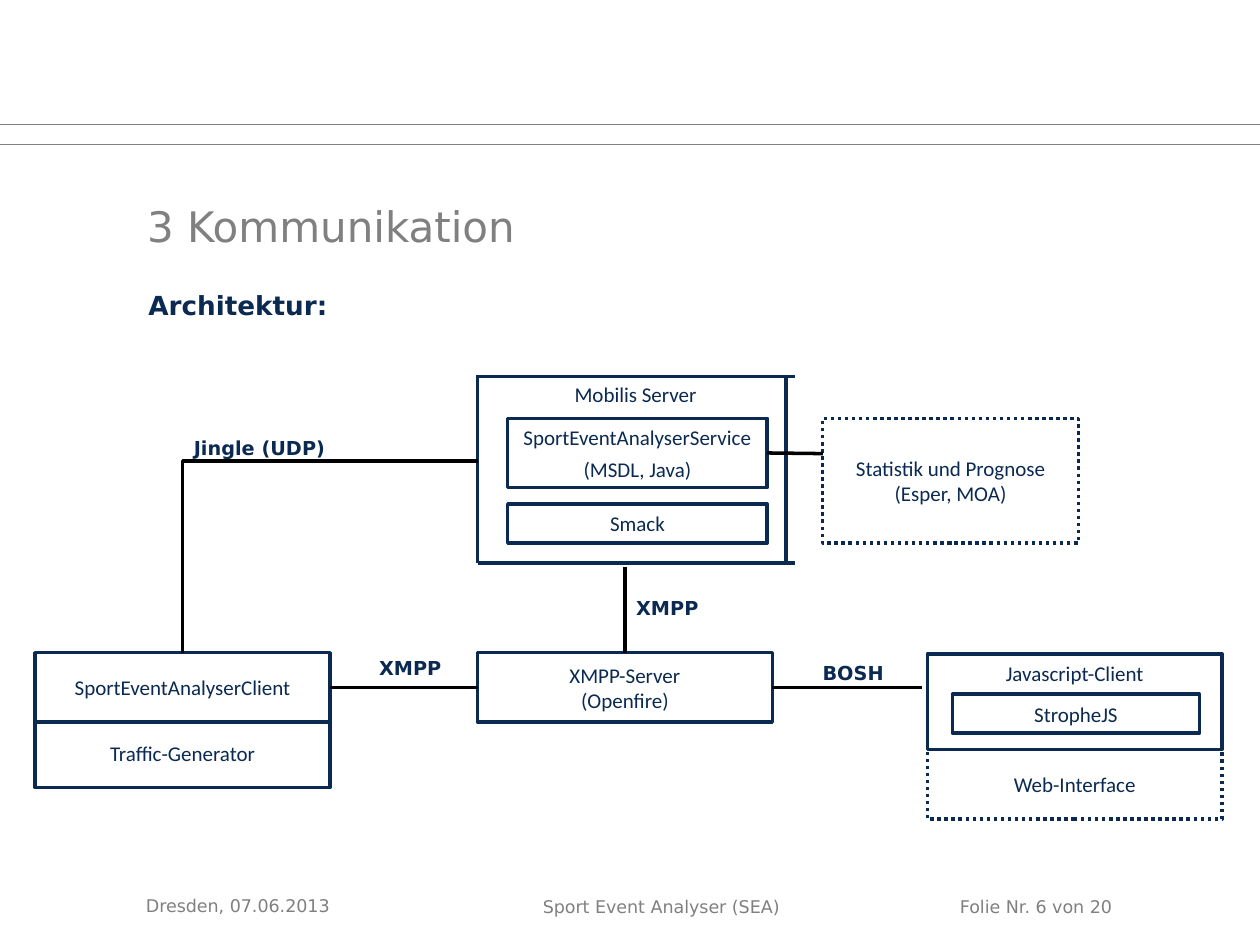
"""Build the slide on the communication architecture of the Sport Event Analyser."""
from typing import NamedTuple, Optional

from lxml.etree import SubElement
from pptx import Presentation
from pptx.dml.color import RGBColor
from pptx.enum.dml import MSO_LINE
from pptx.enum.shapes import MSO_CONNECTOR as Link, MSO_SHAPE
from pptx.enum.text import MSO_ANCHOR as Anchor, PP_ALIGN as Align
from pptx.oxml.ns import qn
from pptx.util import Inches, Pt

NAVY = RGBColor(0x0B, 0x2A, 0x51)
GREY = RGBColor(0x80, 0x80, 0x80)
WHITE = RGBColor(0xFF, 0xFF, 0xFF)
BLACK = RGBColor(0, 0, 0)
TOP, LEFT, RIGHT = 0, 1, 3


class Box(NamedTuple):
    text: str
    left: float
    top: float
    width: float
    height: float
    line: RGBColor = NAVY
    dotted: bool = False
    anchor: Anchor = Anchor.MIDDLE
    after: float = 0


class Label(NamedTuple):
    text: str
    left: float
    top: float
    width: float
    height: float
    size: float
    color: RGBColor = NAVY
    bold: bool = False
    anchor: Anchor = Anchor.TOP
    leading: float = 1.0


class Line(NamedTuple):
    x1: float
    y1: float
    x2: float
    y2: float


class Joint(NamedTuple):
    box: str
    side: int


class Wire(NamedTuple):
    line: Line
    begin: Optional[Joint] = None
    end: Optional[Joint] = None


SERVICE = "SportEventAnalyserService\n(MSDL, Java)"
XMPP_SERVER = "XMPP-Server\n(Openfire)"
CLIENT = "SportEventAnalyserClient"
ROW, NODE_W, NODE_H = 5.18, 2.34, 0.55
CLIENT_X, SERVER_X, WEB_X = 0.28, 3.79, 7.36
MIDDLE = ROW + NODE_H / 2
SERVER_MID = SERVER_X + NODE_W / 2

BOXES = [
    Box("Mobilis Server", 4.03, 2.98, 2.03, 0.31, line=WHITE, anchor=Anchor.TOP),
    Box(SERVICE, 4.03, 3.32, 2.06, 0.55, after=4),
    Box("Smack", 4.03, 4, 2.06, 0.31),
    Box(XMPP_SERVER, SERVER_X, ROW, NODE_W, NODE_H),
    Box("Traffic-Generator", CLIENT_X, 5.7, NODE_W, NODE_H),
    Box(CLIENT, CLIENT_X, ROW, NODE_W, NODE_H),
    Box("Web-Interface", WEB_X, 5.95, NODE_W, NODE_H, dotted=True),
    Box("Statistik und Prognose\n(Esper, MOA)", 6.53, 3.32, 2.03, 0.99, dotted=True),
    Box("Javascript-Client", WEB_X, 5.19, NODE_W, 0.76, anchor=Anchor.TOP),
    Box("StropheJS", 7.56, 5.51, 1.96, 0.31),
]
LABELS = [
    Label("3 Kommunikation", 1.07, 1.54, 8.21, 0.5, 24, GREY, anchor=Anchor.MIDDLE),
    Label("Architektur:", 1.08, 2.25, 1.96, 0.65, 15, bold=True),
    Label("Dresden, 07.06.2013", 1.06, 6.99, 2.33, 0.4, 10, GREY, anchor=Anchor.MIDDLE),
    Label("Sport Event Analyser (SEA)", 4.21, 7.06, 2.23, 0.27, 10, GREY),
    Label("Folie Nr. 6 von 20", 7.52, 7.06, 1.89, 0.46, 10, GREY),
] + [
    Label(protocol, left, top, width, 0.28, 11, bold=True, leading=0.9)
    for protocol, left, top, width in [
        ("XMPP", 2.91, 5.18, 0.72),
        ("BOSH", 6.43, 5.22, 0.72),
        ("XMPP", 4.95, 4.7, 0.72),
        ("Jingle (UDP)", 1.44, 3.43, 1.4),
    ]
]
HEADER_RULES = [Line(0, y, 10, y) for y in (0.99, 1.15)]
SERVER_FRAME = [
    Line(3.79, 4.47, 3.79, 2.98),
    Line(6.24, 4.45, 6.24, 2.99),
    Line(3.79, 4.47, 6.31, 4.47),
    Line(3.8, 2.99, 6.31, 2.99),
]
WIRES = [
    Wire(Line(6.09, 3.6, 6.53, 3.6), begin=Joint(SERVICE, RIGHT)),
    Wire(Line(2.62, MIDDLE, 3.79, MIDDLE), Joint(CLIENT, RIGHT), Joint(XMPP_SERVER, LEFT)),
    Wire(Line(6.13, MIDDLE, 7.32, MIDDLE), begin=Joint(XMPP_SERVER, RIGHT)),
    Wire(Line(SERVER_MID, 4.5, SERVER_MID, ROW), end=Joint(XMPP_SERVER, TOP)),
]
JINGLE = Line(3.38, 5.59, 1.86, 3.25)


def write(shape, text: str, *, size: float, font: str, color: RGBColor, bold=False,
          align=Align.LEFT, anchor=Anchor.TOP, after=0.0, leading=1.0) -> None:
    """Fill a shape with formatted text, one paragraph per line."""
    frame = shape.text_frame
    frame.word_wrap = True
    frame.vertical_anchor = anchor
    frame.text = text
    for paragraph in frame.paragraphs:
        paragraph.alignment = align
        paragraph.line_spacing = leading
        paragraph.font.size = Pt(size)
        paragraph.font.name = font
        paragraph.font.bold = bold
        paragraph.font.color.rgb = color
    if after:
        frame.paragraphs[0].space_after = Pt(after)


def draw_box(slide, box: Box):
    """Draw an outlined component with centred text."""
    shape = slide.shapes.add_shape(
        MSO_SHAPE.RECTANGLE, Inches(box.left), Inches(box.top),
        Inches(box.width), Inches(box.height))
    shape.shadow.inherit = False
    shape.fill.solid()
    shape.fill.fore_color.rgb = WHITE
    shape.line.color.rgb = box.line
    shape.line.width = Pt(2)
    if box.dotted:
        shape.line.dash_style = MSO_LINE.ROUND_DOT
    write(shape, box.text, size=12, font="Calibri", color=NAVY,
          align=Align.CENTER, anchor=box.anchor, after=box.after)
    return shape


def draw_label(slide, label: Label) -> None:
    """Draw free-standing text."""
    area = slide.shapes.add_textbox(Inches(label.left), Inches(label.top),
                                    Inches(label.width), Inches(label.height))
    write(area, label.text, size=label.size, font="DejaVu Sans", color=label.color,
          bold=label.bold, anchor=label.anchor, leading=label.leading)


def draw_line(slide, line: Line, color: RGBColor, width: float, kind=Link.STRAIGHT):
    """Draw a connector without a shadow."""
    connector = slide.shapes.add_connector(
        kind, Inches(line.x1), Inches(line.y1), Inches(line.x2), Inches(line.y2))
    connector.line.color.rgb = color
    connector.line.width = Pt(width)
    SubElement(connector.element.spPr, qn("a:effectLst"))
    return connector


def draw_corner(slide, line: Line) -> None:
    """Draw a one-bend connector turned by a quarter."""
    properties = draw_line(slide, line, BLACK, 0, Link.ELBOW).element.spPr
    properties.find(qn("a:xfrm")).set("rot", "5400000")
    properties.find(qn("a:prstGeom")).set("prst", "bentConnector2")


def main() -> None:
    """Assemble and save the slide."""
    deck = Presentation()
    deck.slide_width, deck.slide_height = Inches(10), Inches(7.5)
    slide = deck.slides.add_slide(deck.slide_layouts[6])
    for rule in HEADER_RULES:
        draw_line(slide, rule, GREY, 0.5)
    components = {box.text: draw_box(slide, box) for box in BOXES}
    for edge in SERVER_FRAME:
        draw_line(slide, edge, NAVY, 2)
    for wire in WIRES:
        connector = draw_line(slide, wire.line, BLACK, 0)
        if wire.begin:
            connector.begin_connect(components[wire.begin.box], wire.begin.side)
        if wire.end:
            connector.end_connect(components[wire.end.box], wire.end.side)
    draw_corner(slide, JINGLE)
    for label in LABELS:
        draw_label(slide, label)
    deck.save("out.pptx")


if __name__ == "__main__":
    main()
